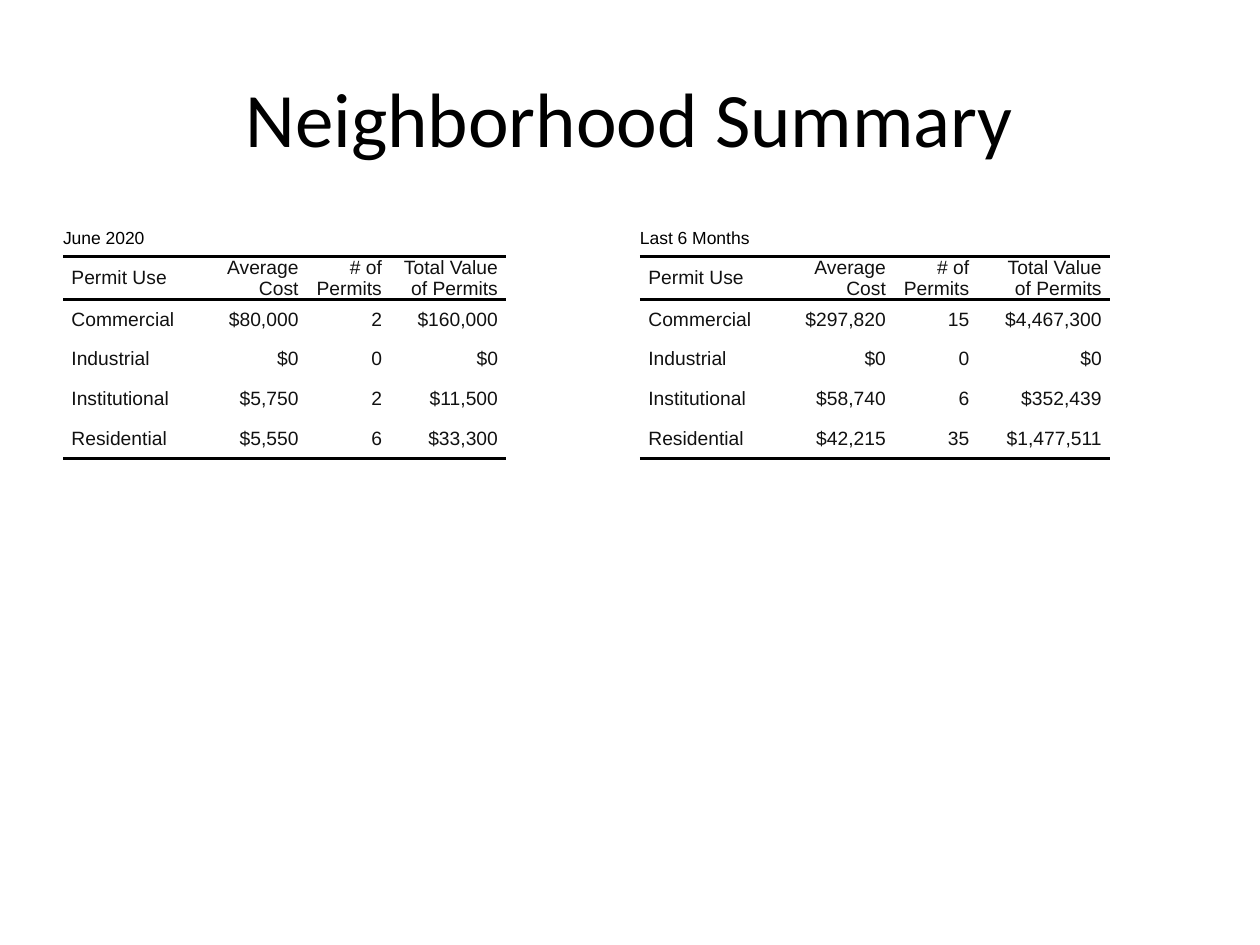
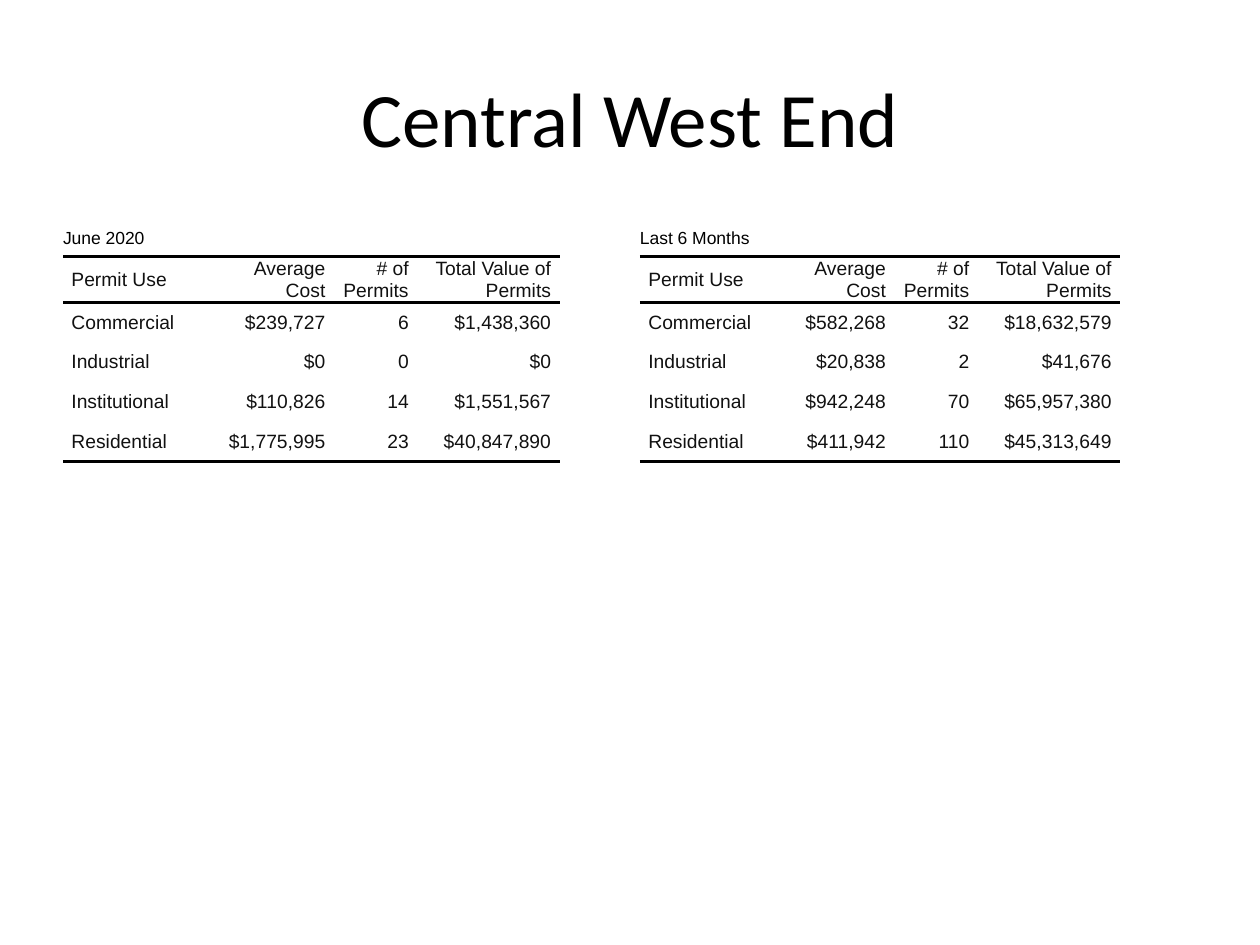
from lxml.etree import SubElement
from pptx import Presentation
from pptx.dml.color import RGBColor
from pptx.enum.text import MSO_ANCHOR, PP_ALIGN
from pptx.oxml.ns import qn
from pptx.util import Cm, Pt

BLACK, INK = "000000", "111111"
TITLE_FONT, TABLE_FONT = "Calibri", "Arial"
NO_STYLE_NO_GRID = "{2D5ABB26-0587-4C30-8999-92F81FD0307C}"

TITLE_BOX = (1.27, 0.76, 22.86, 3.18)
TABLE_TOP = 4.45
TABLE_LEFTS = (1.27, 12.9)
CAPTION_HEIGHT, HEADER_HEIGHT, BODY_HEIGHT = 0.72, 0.87, 0.8
USE_WIDTH, COUNT_WIDTH = 2.79, 1.68
CELL_INDENT = 0.17
RULE_WIDTH = 2

HEADINGS = ("Permit Use", "Average Cost", "# of Permits", "Total Value of Permits")
USES = ("Commercial", "Industrial", "Institutional", "Residential")

# Each period: caption, widths of the two money columns, one row of figures per use
PAGES = {
    "Neighborhood Summary": (
        ("June 2020", (2.13, 2.34), (
            ("$80,000", "2", "$160,000"),
            ("$0", "0", "$0"),
            ("$5,750", "2", "$11,500"),
            ("$5,550", "6", "$33,300"))),
        ("Last 6 Months", (2.34, 2.67), (
            ("$297,820", "15", "$4,467,300"),
            ("$0", "0", "$0"),
            ("$58,740", "6", "$352,439"),
            ("$42,215", "35", "$1,477,511"))),
    ),
    "Central West End": (
        ("June 2020", (2.67, 2.87), (
            ("$239,727", "6", "$1,438,360"),
            ("$0", "0", "$0"),
            ("$110,826", "14", "$1,551,567"),
            ("$1,775,995", "23", "$40,847,890"))),
        ("Last 6 Months", (2.34, 2.87), (
            ("$582,268", "32", "$18,632,579"),
            ("$20,838", "2", "$41,676"),
            ("$942,248", "70", "$65,957,380"),
            ("$411,942", "110", "$45,313,649"))),
    ),
}


def color(value):
    return RGBColor.from_string(value)


def style_paragraph(para, font_name, size, ink, align):
    para.alignment = align
    para.font.name = font_name
    para.font.size = Pt(size)
    para.font.color.rgb = color(ink)


def add_title(page, text, box):
    title = page.shapes.add_textbox(*map(Cm, box))
    frame = title.text_frame
    frame.word_wrap = True
    frame.vertical_anchor = MSO_ANCHOR.MIDDLE
    frame.text = text
    style_paragraph(frame.paragraphs[0], TITLE_FONT, 44, BLACK, PP_ALIGN.CENTER)


def add_rule(cell, edge):
    """Draw a black border on one edge of a cell: "T" or "B"."""
    line = SubElement(cell._tc.get_or_add_tcPr(), qn(f"a:ln{edge}"), w=str(Pt(RULE_WIDTH)))
    fill = SubElement(line, qn("a:solidFill"))
    SubElement(fill, qn("a:srgbClr"), val=BLACK)


def fill_cell(cell, text, size, ink, align=PP_ALIGN.LEFT, indent=0, edges=""):
    cell.margin_left = cell.margin_right = cell.margin_top = cell.margin_bottom = 0
    cell.vertical_anchor = MSO_ANCHOR.MIDDLE
    for edge in edges:
        add_rule(cell, edge)
    cell.fill.background()
    cell.text = text
    para = cell.text_frame.paragraphs[0]
    for side in ("marL", "marR"):
        para._p.get_or_add_pPr().set(side, str(Cm(indent)))
    style_paragraph(para, TABLE_FONT, size, ink, align)


def add_permit_table(page, left, top, caption, money_widths, figures):
    average_width, total_width = money_widths
    widths = (USE_WIDTH, average_width, COUNT_WIDTH, total_width)
    heights = (CAPTION_HEIGHT, HEADER_HEIGHT) + (BODY_HEIGHT,) * len(USES)
    graphic = page.shapes.add_table(len(heights), len(widths), Cm(left), Cm(top),
                                    Cm(sum(widths)), Cm(sum(heights)))
    table = graphic.table
    table.first_row = table.horz_banding = False
    table._tbl.tblPr.find(qn("a:tableStyleId")).text = NO_STYLE_NO_GRID
    for column, width in zip(table.columns, widths):
        column.width = Cm(width)
    for row, height in zip(table.rows, heights):
        row.height = Cm(height)

    table.cell(0, 0).merge(table.cell(0, len(widths) - 1))
    fill_cell(table.cell(0, 0), caption, 10, BLACK)

    rows = [HEADINGS] + [(use, *values) for use, values in zip(USES, figures)]
    edges = ["TB"] + [""] * (len(USES) - 1) + ["B"]
    for row_index, (texts, row_edges) in enumerate(zip(rows, edges), start=1):
        for column_index, text in enumerate(texts):
            align = PP_ALIGN.RIGHT if column_index else PP_ALIGN.LEFT
            fill_cell(table.cell(row_index, column_index), text, 11, INK,
                      align, CELL_INDENT, row_edges)


def add_permit_page(deck, title, periods):
    page = deck.slides.add_slide(deck.slide_layouts[6])
    for left, period in zip(TABLE_LEFTS, periods):
        add_permit_table(page, left, TABLE_TOP, *period)
    add_title(page, title, TITLE_BOX)


def main():
    deck = Presentation()
    deck.slide_width, deck.slide_height = Cm(25.4), Cm(19.05)
    for title, periods in PAGES.items():
        add_permit_page(deck, title, periods)
    deck.save("out.pptx")


if __name__ == "__main__":
    main()
